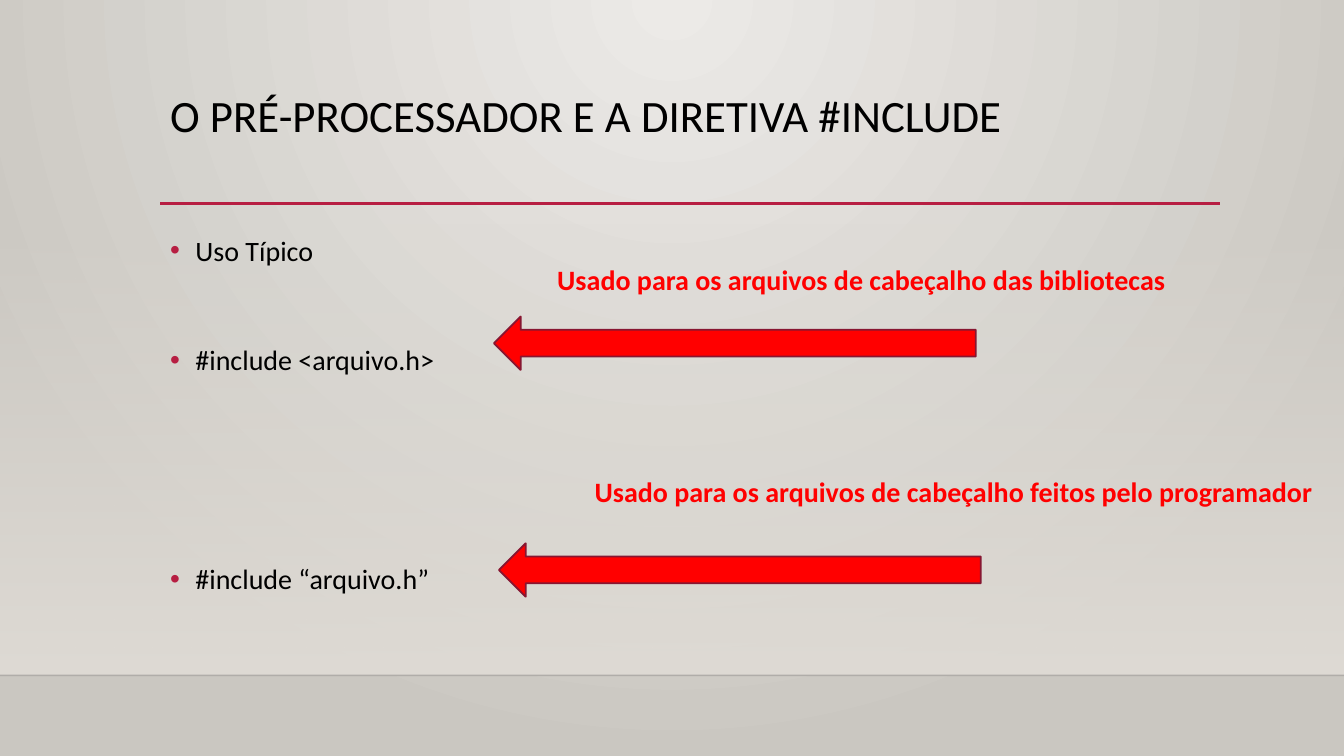
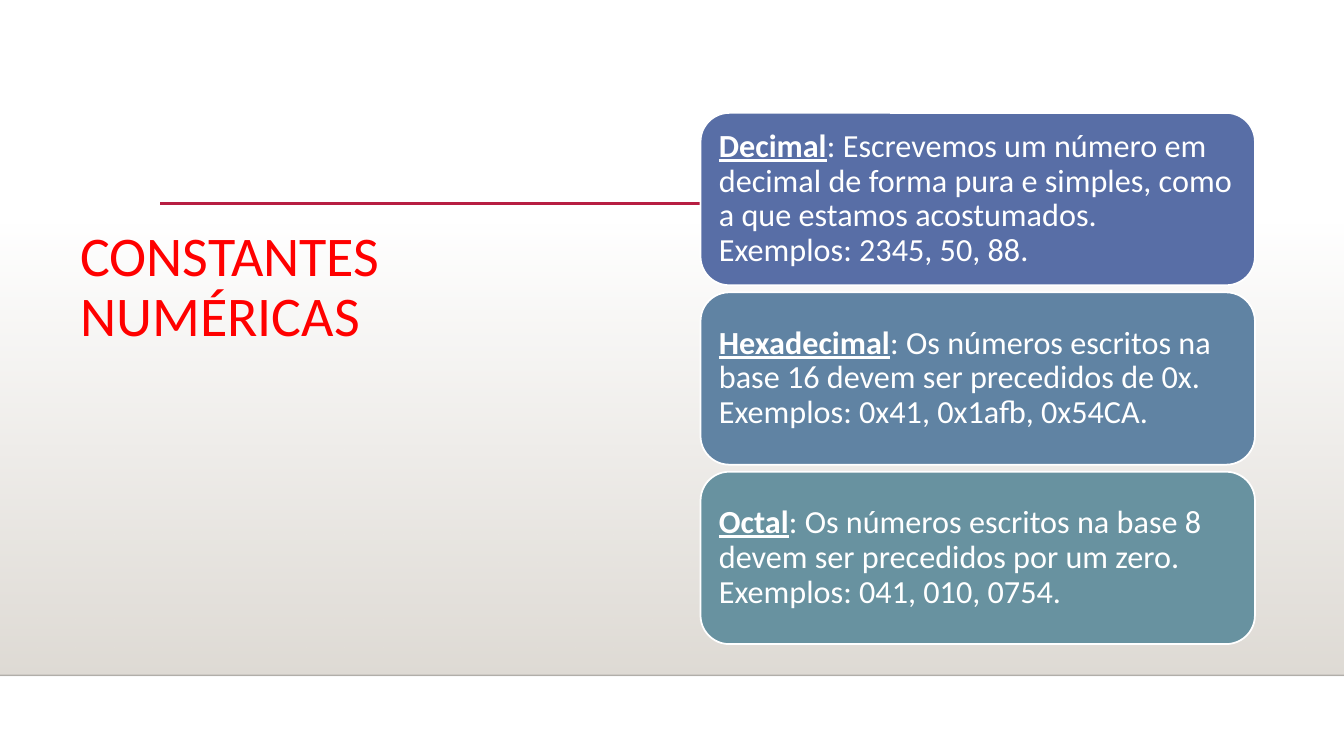
"""Build two Portuguese lecture slides on C: the include directive and numeric constants."""
from dataclasses import dataclass

import lxml.etree
import pptx
import pptx.dml.color
import pptx.dml.fill
import pptx.enum.shapes
import pptx.enum.text
import pptx.oxml.ns
import pptx.shapes.autoshape
import pptx.slide
import pptx.text.text
import pptx.util

qn = pptx.oxml.ns.qn
Shapes = pptx.enum.shapes.MSO_SHAPE
Anchor = pptx.enum.text.MSO_ANCHOR
COLUMNS, ROWS = 160, 90
SLIDE_WIDTH, SLIDE_HEIGHT = pptx.util.Inches(13.333), pptx.util.Inches(7.5)


@dataclass(frozen=True)
class Theme:
    font: str = "Calibri"
    ink: str = "000000"
    paper: str = "FFFFFF"
    accent: str = "B71E42"
    highlight: str = "FF0000"
    arrow_edge: str = "871631"
    glow: str = "ECEAE7"
    stone: str = "CAC7C1"
    floor: str = "DFDBD5"
    floor_edge: str = "000001"
    title_size: int = 32
    side_title_size: int = 40
    body_size: int = 20
    card_size: int = 23
    outline: float = 1.25
    rule: float = 2.5


@dataclass(frozen=True)
class Box:
    column: float
    row: float
    columns: float
    rows: float

    def lengths(self) -> tuple[int, int, int, int]:
        return across(self.column), down(self.row), across(self.columns), down(self.rows)


@dataclass(frozen=True)
class Style:
    size: int
    color: str
    bold: bool = False
    underline: bool = False


@dataclass(frozen=True)
class Topic:
    text: str
    skipped_lines: int


@dataclass(frozen=True)
class Callout:
    text: str
    caption: Box
    arrow: Box


@dataclass(frozen=True)
class Card:
    term: str
    explanation: str
    fill: str


THEME = Theme()
TOPICS = (
    Topic("Uso Típico", 0),
    Topic("#include <arquivo.h>", 1),
    Topic("#include “arquivo.h”", 3),
)
CALLOUTS = (
    Callout("Usado para os arquivos de cabeçalho das bibliotecas",
            Box(65.16, 30.72, 75.48, 5.28), Box(58.8, 37.68, 57.36, 6.36)),
    Callout("Usado para os arquivos de cabeçalho feitos pelo programador",
            Box(69.6, 55.92, 88.56, 5.28), Box(59.4, 64.68, 57.36, 6.36)),
)
CARDS = (
    Card("Decimal", ": Escrevemos um número em decimal de forma pura e simples, "
         "como a que estamos acostumados. Exemplos: 2345, 50, 88.", "586EA6"),
    Card("Hexadecimal", ": Os números escritos na base 16 devem ser precedidos de 0x. "
         "Exemplos: 0x41, 0x1afb, 0x54CA.", "6083A3"),
    Card("Octal", ": Os números escritos na base 8 devem ser precedidos por um zero. "
         "Exemplos: 041, 010, 0754.", "6892A0"),
)
FIRST_CARD = Box(83.4, 13.44, 66, 20.52)
CARD_PITCH = 21.36


def across(columns: float) -> int:
    return round(SLIDE_WIDTH * columns / COLUMNS)


def down(rows: float) -> int:
    return round(SLIDE_HEIGHT * rows / ROWS)


def rgb(color: str) -> pptx.dml.color.RGBColor:
    return pptx.dml.color.RGBColor.from_string(color)


def set_alpha(color: lxml.etree.ElementBase, percent: int) -> None:
    lxml.etree.SubElement(color, qn("a:alpha")).set("val", str(percent * 1000))


def set_gradient(fill: pptx.dml.fill.FillFormat, start: str, end: str) -> None:
    fill.gradient()
    fill.gradient_angle = 270
    for stop, color in zip(fill.gradient_stops, (start, end)):
        stop.color.rgb = rgb(color)


def add_run(paragraph: pptx.text.text._Paragraph, text: str, style: Style) -> None:
    run = paragraph.add_run()
    run.text = text
    run.font.name = THEME.font
    run.font.size = pptx.util.Pt(style.size)
    run.font.color.rgb = rgb(style.color)
    run.font.bold = style.bold
    run.font.underline = style.underline


def add_text_frame(slide: pptx.slide.Slide, box: Box, wrap: bool = True) -> pptx.text.text.TextFrame:
    frame = slide.shapes.add_textbox(*box.lengths()).text_frame
    frame.word_wrap = wrap
    return frame


def add_title(slide: pptx.slide.Slide, box: Box, text: str, style: Style) -> None:
    heading = add_text_frame(slide, box).paragraphs[0]
    heading.line_spacing = 0.9
    add_run(heading, text, style)


def add_panel(slide: pptx.slide.Slide, kind: Shapes, box: Box, fill: str,
              edge: str) -> pptx.shapes.autoshape.Shape:
    panel = slide.shapes.add_shape(kind, *box.lengths())
    panel.shadow.inherit = False
    panel.fill.solid()
    panel.fill.fore_color.rgb = rgb(fill)
    panel.line.color.rgb = rgb(edge)
    panel.line.width = pptx.util.Pt(THEME.outline)
    return panel


def add_rule(slide: pptx.slide.Slide, start: float, end: float, row: float,
             color: str, width: float, opacity: int = 100) -> None:
    rule = slide.shapes.add_connector(pptx.enum.shapes.MSO_CONNECTOR.STRAIGHT,
                                      across(start), down(row), across(end), down(row))
    rule.line.color.rgb = rgb(color)
    rule.line.width = pptx.util.Pt(width)
    if opacity < 100:
        set_alpha(rule.element.find(".//" + qn("a:srgbClr")), opacity)
    lxml.etree.SubElement(rule.element.spPr, qn("a:effectLst"))


def add_base_slide(deck: pptx.presentation.Presentation) -> pptx.slide.Slide:
    slide = deck.slides.add_slide(deck.slide_layouts[6])
    floor = slide.shapes.add_shape(Shapes.RECTANGLE, *Box(0, 26.52, COLUMNS, 53.88).lengths())
    floor.shadow.inherit = False
    floor.line.fill.background()
    set_gradient(floor.fill, THEME.floor, THEME.floor)
    set_alpha(floor.element.find(".//" + qn("a:srgbClr")), 0)
    add_rule(slide, 0, COLUMNS, 80.4, THEME.floor_edge, 1, opacity=20)
    add_rule(slide, 19.08, 145.2, 24.24, THEME.accent, THEME.rule)
    return slide


def set_radial_background(slide: pptx.slide.Slide) -> None:
    set_gradient(slide.background.fill, THEME.glow, THEME.stone)
    gradient = slide.element.find(".//" + qn("p:bgPr")).find(qn("a:gradFill"))
    gradient.remove(gradient.find(qn("a:lin")))
    circle = lxml.etree.SubElement(gradient, qn("a:path"))
    circle.set("path", "circle")
    center = lxml.etree.SubElement(circle, qn("a:fillToRect"))
    for side, share in zip("ltrb", (43, 0, 43, 100)):
        center.set(side, str(share * 1000))


def add_bullet(paragraph: pptx.text.text._Paragraph) -> None:
    properties = paragraph._p.get_or_add_pPr()
    indent = pptx.util.Inches(0.25)
    properties.set("marL", str(indent))
    properties.set("indent", str(-indent))
    color = lxml.etree.SubElement(properties, qn("a:buClr"))
    lxml.etree.SubElement(color, qn("a:srgbClr")).set("val", THEME.accent)
    lxml.etree.SubElement(properties, qn("a:buFont")).set("typeface", "Arial")
    lxml.etree.SubElement(properties, qn("a:buChar")).set("char", "•")


def add_topics(slide: pptx.slide.Slide, box: Box) -> None:
    frame = add_text_frame(slide, box)
    gap, spacing, font_height = 10, 1.2, 1.22
    line_pitch = THEME.body_size * font_height * spacing + gap
    for index, topic in enumerate(TOPICS):
        paragraph = frame.add_paragraph() if index else frame.paragraphs[0]
        paragraph.line_spacing = spacing
        paragraph.space_before = pptx.util.Pt(gap + topic.skipped_lines * line_pitch)
        add_bullet(paragraph)
        add_run(paragraph, topic.text, Style(THEME.body_size, THEME.ink))


def add_callout(slide: pptx.slide.Slide, callout: Callout) -> None:
    add_panel(slide, Shapes.LEFT_ARROW, callout.arrow, THEME.highlight, THEME.arrow_edge)
    frame = add_text_frame(slide, callout.caption, wrap=False)
    frame.auto_size = pptx.enum.text.MSO_AUTO_SIZE.SHAPE_TO_FIT_TEXT
    add_run(frame.paragraphs[0], callout.text,
            Style(THEME.body_size, THEME.highlight, bold=True))


def add_card(slide: pptx.slide.Slide, card: Card, box: Box) -> None:
    frame = add_panel(slide, Shapes.ROUNDED_RECTANGLE, box, card.fill, THEME.paper).text_frame
    frame.word_wrap = True
    frame.vertical_anchor = Anchor.MIDDLE
    frame.margin_left = frame.margin_top = frame.margin_bottom = pptx.util.Inches(0.1)
    frame.margin_right = pptx.util.Inches(0.12)
    paragraph = frame.paragraphs[0]
    paragraph.alignment = pptx.enum.text.PP_ALIGN.LEFT
    paragraph.line_spacing = 0.9
    add_run(paragraph, card.term, Style(THEME.card_size, THEME.paper, bold=True, underline=True))
    add_run(paragraph, card.explanation, Style(THEME.card_size, THEME.paper))


def build_include_slide(deck: pptx.presentation.Presentation) -> None:
    slide = add_base_slide(deck)
    set_radial_background(slide)
    add_title(slide, Box(19.08, 10.56, 126, 13.8), "O PRÉ-PROCESSADOR E A DIRETIVA #INCLUDE",
              Style(THEME.title_size, THEME.ink))
    add_topics(slide, Box(19.08, 26.4, 126, 45.24))
    for callout in CALLOUTS:
        add_callout(slide, callout)


def build_constants_slide(deck: pptx.presentation.Presentation) -> None:
    slide = add_base_slide(deck)
    slide.background.fill.solid()
    slide.background.fill.fore_color.rgb = rgb(THEME.paper)
    add_title(slide, Box(8.4, 26.52, 48, 36.96), "CONSTANTES NUMÉRICAS",
              Style(THEME.side_title_size, THEME.highlight))
    for index, card in enumerate(CARDS):
        row = FIRST_CARD.row + index * CARD_PITCH
        add_card(slide, card, Box(FIRST_CARD.column, row, FIRST_CARD.columns, FIRST_CARD.rows))


def main() -> None:
    deck = pptx.Presentation()
    deck.slide_width, deck.slide_height = SLIDE_WIDTH, SLIDE_HEIGHT
    build_include_slide(deck)
    build_constants_slide(deck)
    deck.save("out.pptx")


if __name__ == "__main__":
    main()
